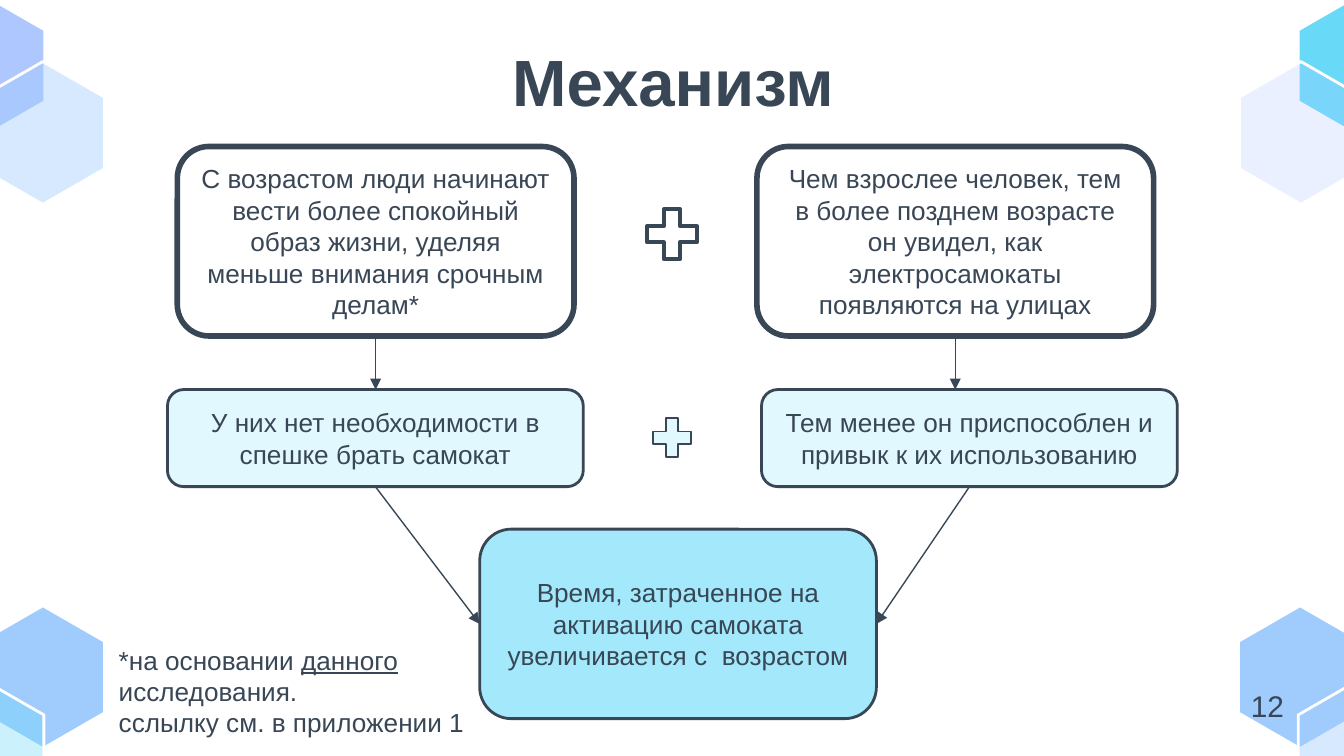
from dataclasses import dataclass

from lxml.etree import SubElement
from pptx import Presentation
from pptx.dml.color import RGBColor
from pptx.enum.shapes import MSO_CONNECTOR as Connector, MSO_SHAPE as Shape
from pptx.enum.text import MSO_ANCHOR as Anchor, MSO_AUTO_SIZE as AutoSize, PP_ALIGN as Align
from pptx.oxml.ns import qn
from pptx.util import Pt


@dataclass(frozen=True)
class Theme:
    font: str = "Arial"
    ink: str = "384655"
    white: str = "FFFFFF"
    pale: str = "E1F8FE"
    aqua: str = "A4E9FB"
    cyan: str = "68DAF8"
    blue: str = "9FCBFD"
    violet: str = "AFC7FF"
    title: int = 35
    body: int = 14
    number: int = 16


TOP, LEFT, BOTTOM, RIGHT = range(4)


class Deck:
    def __init__(self, theme, width, height):
        self.theme = theme
        self.prs = Presentation()
        self.prs.slide_width, self.prs.slide_height = Pt(width), Pt(height)
        self.slide = self.prs.slides.add_slide(self.prs.slide_layouts[5])
        self.shapes = self.slide.shapes

    def paint(self, sp, fill, line, weight):
        sp.shadow.inherit = False
        sp.fill.solid()
        sp.fill.fore_color.rgb = RGBColor.from_string(fill)
        sp.line.color.rgb = RGBColor.from_string(line)
        sp.line.width = Pt(weight)

    def run(self, p, text, size, bold=None, underline=None):
        r = p.add_run()
        r.text = text
        r.font.name, r.font.size = self.theme.font, Pt(size)
        r.font.bold, r.font.underline = bold, underline
        r.font.color.rgb = RGBColor.from_string(self.theme.ink)

    def title(self, text, left, top, width, height):
        sp = self.shapes.title
        sp.left, sp.top, sp.width, sp.height = map(Pt, (left, top, width, height))
        tf = sp.text_frame
        tf.auto_size, tf.vertical_anchor = AutoSize.NONE, Anchor.TOP
        tf.margin_left = tf.margin_right = tf.margin_bottom = Pt(7.2)
        tf.margin_top = Pt(10.5)
        p = tf.paragraphs[0]
        p.alignment = Align.CENTER
        self.run(p, text, self.theme.title, bold=True)

    def hexagon(self, left, top, fill, opacity=100):
        width, height, shoulder = 66, 76.5, 19
        right, middle, bottom = left + width, left + width / 2, top + height
        points = [(right, top + shoulder), (right, bottom - shoulder), (middle, bottom),
                  (left, bottom - shoulder), (left, top + shoulder)]
        outline = self.shapes.build_freeform(Pt(middle), Pt(top))
        outline.add_line_segments([(Pt(x), Pt(y)) for x, y in points])
        sp = outline.convert_to_shape()
        self.paint(sp, fill, self.theme.white, 1.5)
        if opacity < 100:
            color = sp.fill._xPr.find(qn("a:solidFill"))[0]
            SubElement(color, qn("a:alpha")).set("val", str(opacity * 1000))

    def box(self, text, left, top, width, height, fill, weight):
        sp = self.shapes.add_shape(Shape.ROUNDED_RECTANGLE, *map(Pt, (left, top, width, height)))
        self.paint(sp, fill, self.theme.ink, weight)
        tf = sp.text_frame
        tf.word_wrap, tf.vertical_anchor = True, Anchor.MIDDLE
        p = tf.paragraphs[0]
        p.alignment = Align.CENTER
        self.run(p, text, self.theme.body)
        return sp

    def plus(self, center_x, center_y, size, fill, weight):
        sp = self.shapes.add_shape(Shape.MATH_PLUS, Pt(center_x - size / 2),
                                   Pt(center_y - size / 2), Pt(size), Pt(size))
        self.paint(sp, fill, self.theme.ink, weight)

    def arrow(self, source, target, side):
        """Lead from the bottom of source to the given side of target."""
        line = self.shapes.add_connector(Connector.STRAIGHT, 0, 0, 0, 0)
        line.begin_connect(source, BOTTOM)
        line.end_connect(target, side)
        line.line.color.rgb = RGBColor.from_string(self.theme.ink)
        line.line.width = Pt(0.75)
        SubElement(line.line._get_or_add_ln(), qn("a:tailEnd")).set("type", "triangle")
        SubElement(line._element.spPr, qn("a:effectLst"))

    def text(self, paragraphs, left, top, width, height, size):
        """Write paragraphs, each a list of (text, underline) runs."""
        tf = self.shapes.add_textbox(*map(Pt, (left, top, width, height))).text_frame
        tf.word_wrap, tf.auto_size = True, AutoSize.SHAPE_TO_FIT_TEXT
        for i, runs in enumerate(paragraphs):
            p = tf.add_paragraph() if i else tf.paragraphs[0]
            for text, underline in runs:
                self.run(p, text, size, underline=underline)


def main():
    theme = Theme()
    deck = Deck(theme, 720, 405)

    for left, top, fill, opacity in [
        (-10, 324.5, theme.blue, 100), (-42.5, 364, theme.cyan, 34),
        (695.5, -3, theme.cyan, 100), (664, 33, theme.violet, 25),
        (663.5, 324.5, theme.blue, 100), (695.5, 364, theme.blue, 41),
        (-42, -3, theme.violet, 100), (-10, 33, theme.blue, 41),
    ]:
        deck.hexagon(left, top, fill, opacity)

    deck.title("Механизм", 57, 11.5, 607, 45.5)

    cause_size, effect_size = (212.5, 101.5), (222.75, 52)
    result = deck.box("Время, затраченное на активацию самоката увеличивается с  возрастом",
                      257, 283.5, *cause_size, theme.aqua, 1.5)
    chains = [
        ("С возрастом люди начинают вести более спокойный образ жизни, "
         "уделяя меньше внимания срочным делам*", 95,
         "У них нет необходимости в спешке брать самокат", 89.75, LEFT),
        ("Чем взрослее человек, тем в более позднем возрасте он увидел, "
         "как электросамокаты появляются на улицах", 405.5,
         "Тем менее он приспособлен и привык к их использованию", 408, RIGHT),
    ]
    for cause_text, cause_left, effect_text, effect_left, side in chains:
        cause = deck.box(cause_text, cause_left, 78.5, *cause_size, theme.white, 3)
        effect = deck.box(effect_text, effect_left, 208.75, *effect_size, theme.pale, 1.5)
        deck.arrow(effect, result, side)
        # The right-hand boxes have different centres, so the drop stays vertical from the cause.
        drop = deck.shapes[-1]
        deck.arrow(cause, effect, TOP)
        drop = deck.shapes[-1]
        drop.end_x = drop.begin_x

    deck.plus(360, 125.5, 36.5, theme.white, 2)
    deck.plus(360, 234.5, 28, theme.pale, 1)

    deck.text([[("12", None)]], 663, 365, 58, 26.5, theme.number)
    deck.text([[("*на основании ", None), ("данного", True), (" исследования.", None)],
               [("сслылку см. в приложении 1", None)]],
              56.5, 341.5, 220.5, 58, theme.body)

    deck.prs.save("out.pptx")


if __name__ == "__main__":
    main()
